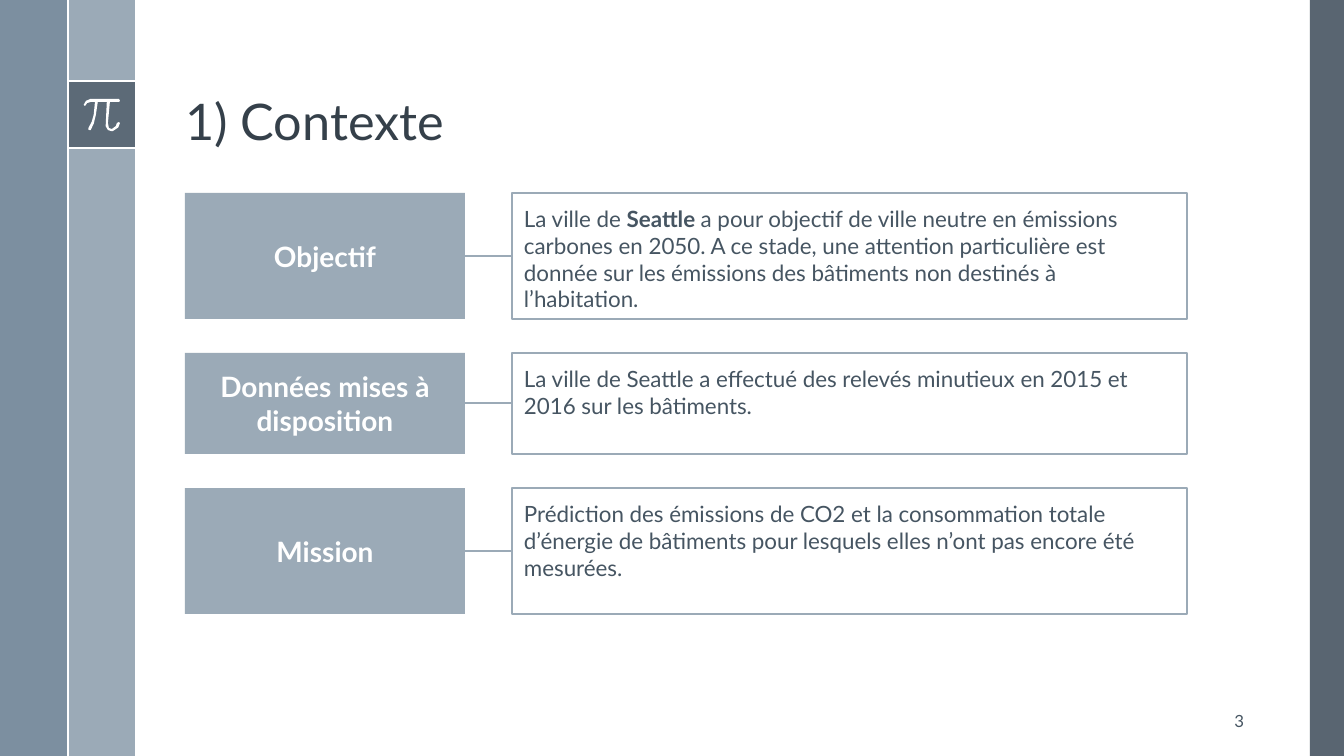
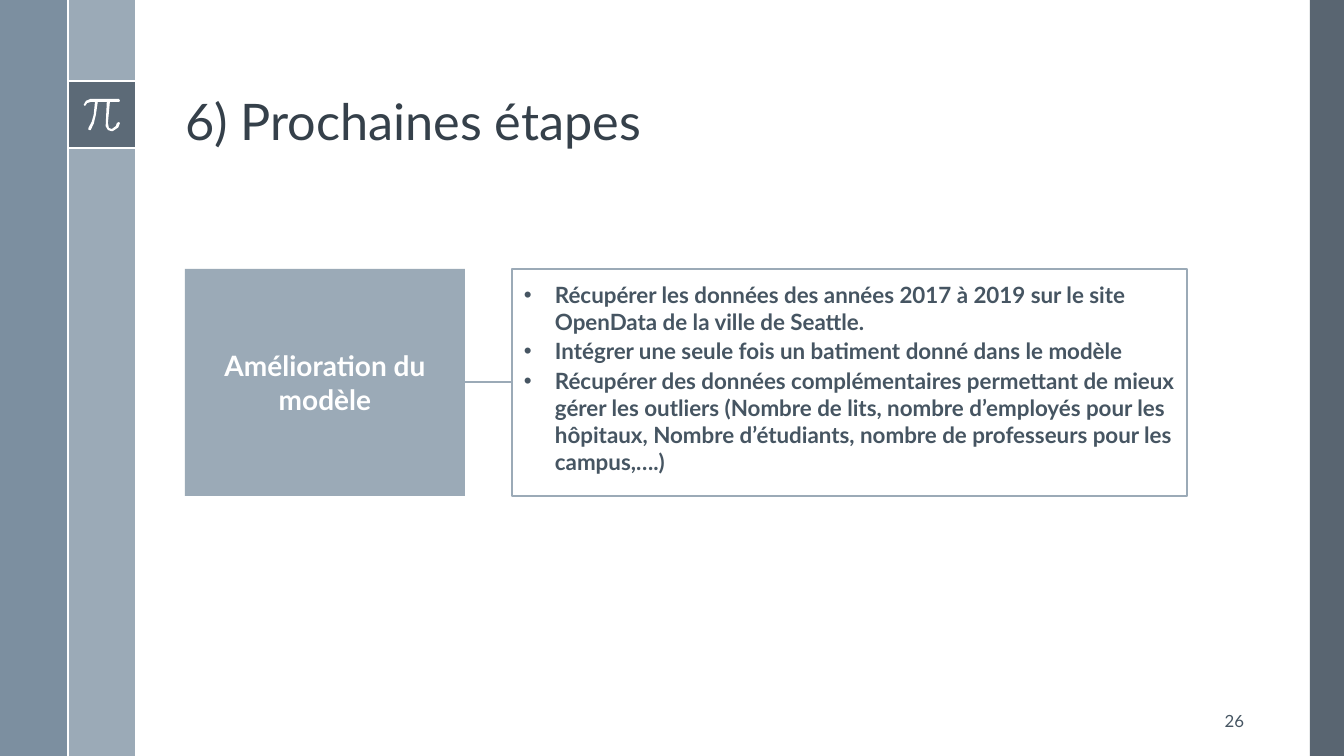
import lxml.etree
import pptx
import pptx.dml.color
import pptx.enum.shapes
import pptx.enum.text
import pptx.oxml.ns
import pptx.util

PX = 914400 / 100.8
FONT = "Lato"
WHITE, PALE, BLUE, SLATE = "FFFFFF", "9BAAB7", "6A8093", "475562"
INK, DARK = "465562", "35404A"
RECT = pptx.enum.shapes.MSO_SHAPE.RECTANGLE
LINE = pptx.enum.shapes.MSO_CONNECTOR.STRAIGHT
ANCHOR = pptx.enum.text.MSO_ANCHOR
ALIGN = pptx.enum.text.PP_ALIGN
qn = pptx.oxml.ns.qn

# Outline of the pi sign, in tenths of a pixel
PI = [(1189, 988), (907, 988), (860, 1008), (837, 1048), (850, 1060),
      (872, 1030), (907, 1020), (950, 1020), (937, 1147), (917, 1218),
      (885, 1280), (885, 1297), (900, 1302), (907, 1300), (937, 1238),
      (958, 1152), (978, 1020), (1068, 1020), (1058, 1230), (1057, 1262),
      (1079, 1300), (1109, 1310), (1129, 1310), (1183, 1274), (1200, 1230),
      (1189, 1220), (1169, 1230), (1159, 1260), (1119, 1290), (1089, 1280),
      (1079, 1230), (1099, 1020), (1189, 1020), (1200, 1008)]

# Each row: height, label, paragraphs; every second run of a paragraph is bold
PAGES = [
    ("1) Contexte", "3", 193, False, [
        (126, "Objectif", [[
            "La ville de ", "Seattle ",
            "a pour objectif de ville neutre en émissions carbones en 2050. "
            "A ce stade, une attention particulière est donnée sur les "
            "émissions des bâtiments non destinés à l’habitation."]]),
        (101, "Données mises à disposition", [[
            "La ville de Seattle a effectué des relevés minutieux en 2015 "
            "et 2016 sur les bâtiments."]]),
        (126, "Mission", [[
            "Prédiction des émissions de CO2 et la consommation totale "
            "d’énergie de bâtiments pour lesquels elles n’ont pas encore "
            "été mesurées."]]),
    ]),
    ("6) Prochaines étapes", "26", 269, True, [
        (227, "Amélioration du modèle", [
            ["Récupérer les données des années 2017 à 2019 sur le site "
             "OpenData de la ville de Seattle."],
            ["Intégrer une seule fois un batiment donné dans le modèle"],
            ["Récupérer des données complémentaires permettant de mieux "
             "gérer les outliers (Nombre de lits, nombre d’employés pour "
             "les hôpitaux, Nombre d’étudiants, nombre de professeurs pour "
             "les campus,….)"]]),
    ]),
]


def px(*nums):
    return [pptx.util.Emu(round(n * PX)) for n in nums]


def paint(item, tone, width=None, alpha=None):
    """Colour a font, or a shape's fill; with a width, colour its line instead."""
    rgb = pptx.dml.color.RGBColor.from_string(tone)
    if hasattr(item, "bold"):
        item.name = FONT
        item.color.rgb = rgb
        return
    if width:
        item.line.color.rgb = rgb
        item.line.width = pptx.util.Pt(width)
    else:
        item.fill.solid()
        item.fill.fore_color.rgb = rgb
        item.line.fill.background()
    if alpha:
        node = item.fill._xPr.find(".//" + qn("a:srgbClr"))
        lxml.etree.SubElement(node, qn("a:alpha")).set("val", str(alpha * 1000))
    if hasattr(item, "shadow"):
        item.shadow.inherit = False
    else:
        lxml.etree.SubElement(item.element.spPr, qn("a:effectLst"))


deck = pptx.Presentation()
deck.slide_width, deck.slide_height = px(1344, 756)
layout = deck.slide_layouts[5]
slides = [deck.slides.add_slide(layout) for page in PAGES]

# Shared bands and sign: drawn once, then moved to the layout
shapes = slides[0].shapes
for left, top, width, height, tone, alpha in [
        (1310, 0, 34, 756, SLATE, 90), (68, 0, 67, 756, PALE, None),
        (0, 0, 68, 756, BLUE, 88), (68, 81, 67, 67, SLATE, 75)]:
    band = shapes.add_shape(RECT, *px(left, top, width, height))
    paint(band, tone, alpha=alpha)
for ends in [(68, 81, 135, 81), (68, 148, 135, 148), (68, 0, 68, 756)]:
    paint(shapes.add_connector(LINE, *px(*ends)), WHITE, 1.5)
pen = shapes.build_freeform(*PI[0], scale=PX / 10)
pen.add_line_segments(PI[1:], close=True)
paint(pen.convert_to_shape(), WHITE)
for num, shape in enumerate(list(shapes)[1:], 101):
    shape.element.xpath(".//p:cNvPr")[0].set("id", str(num))
    layout.shapes.element.append(shape.element)

for slide, (head, page, top, listed, rows) in zip(slides, PAGES):
    shapes = slide.shapes
    title = shapes.title
    title.left, title.top, title.width, title.height = px(175, 19, 1079, 137)
    frame = title.text_frame
    frame.text = head
    frame.vertical_anchor = ANCHOR.BOTTOM
    frame.auto_size = pptx.enum.text.MSO_AUTO_SIZE.NONE
    para = frame.paragraphs[0]
    para.alignment = ALIGN.LEFT
    para.line_spacing = 0.9
    para.font.size = pptx.util.Pt(36)
    paint(para.font, DARK)

    for height, name, texts in rows:
        body = shapes.add_shape(RECT, *px(512, top, 675, height))
        body.fill.background()
        paint(body, PALE, 1)
        frame = body.text_frame
        frame.word_wrap = True
        frame.vertical_anchor = ANCHOR.TOP
        (frame.margin_left, frame.margin_top,
         frame.margin_right, frame.margin_bottom) = px(12, 12, 12, 12)
        for row, runs in enumerate(texts):
            para = frame.add_paragraph() if row else frame.paragraphs[0]
            para.alignment = ALIGN.LEFT
            if listed:
                props = para._p.get_or_add_pPr()
                dent = px(31)[0]
                props.set("marL", str(dent))
                props.set("indent", str(-dent))
                lxml.etree.SubElement(props, qn("a:buFont")).set("typeface", "Arial")
                lxml.etree.SubElement(props, qn("a:buChar")).set("char", "•")
            if row:
                para.space_before = pptx.util.Pt(2)
            para.font.size = pptx.util.Pt(16)
            para.font.bold = listed
            paint(para.font, INK)
            for spot, text in enumerate(runs):
                run = para.add_run()
                run.text = text
                if spot % 2:
                    run.font.bold = True

        label = shapes.add_shape(RECT, *px(185, top, 280, height))
        paint(label, PALE)
        frame = label.text_frame
        frame.text = name
        frame.word_wrap = True
        frame.vertical_anchor = ANCHOR.MIDDLE
        para = frame.paragraphs[0]
        para.alignment = ALIGN.CENTER
        para.font.size = pptx.util.Pt(20)
        para.font.bold = True
        paint(para.font, WHITE)

        mid = top + height // 2
        paint(shapes.add_connector(LINE, *px(465, mid, 512, mid)), PALE, 1)
        top += height + 34

    frame = shapes.add_textbox(*px(1186, 701, 68, 40)).text_frame
    frame.text = page
    frame.word_wrap = True
    frame.vertical_anchor = ANCHOR.MIDDLE
    para = frame.paragraphs[0]
    para.alignment = ALIGN.RIGHT
    para.font.size = pptx.util.Pt(12)
    paint(para.font, INK)

deck.save("out.pptx")
